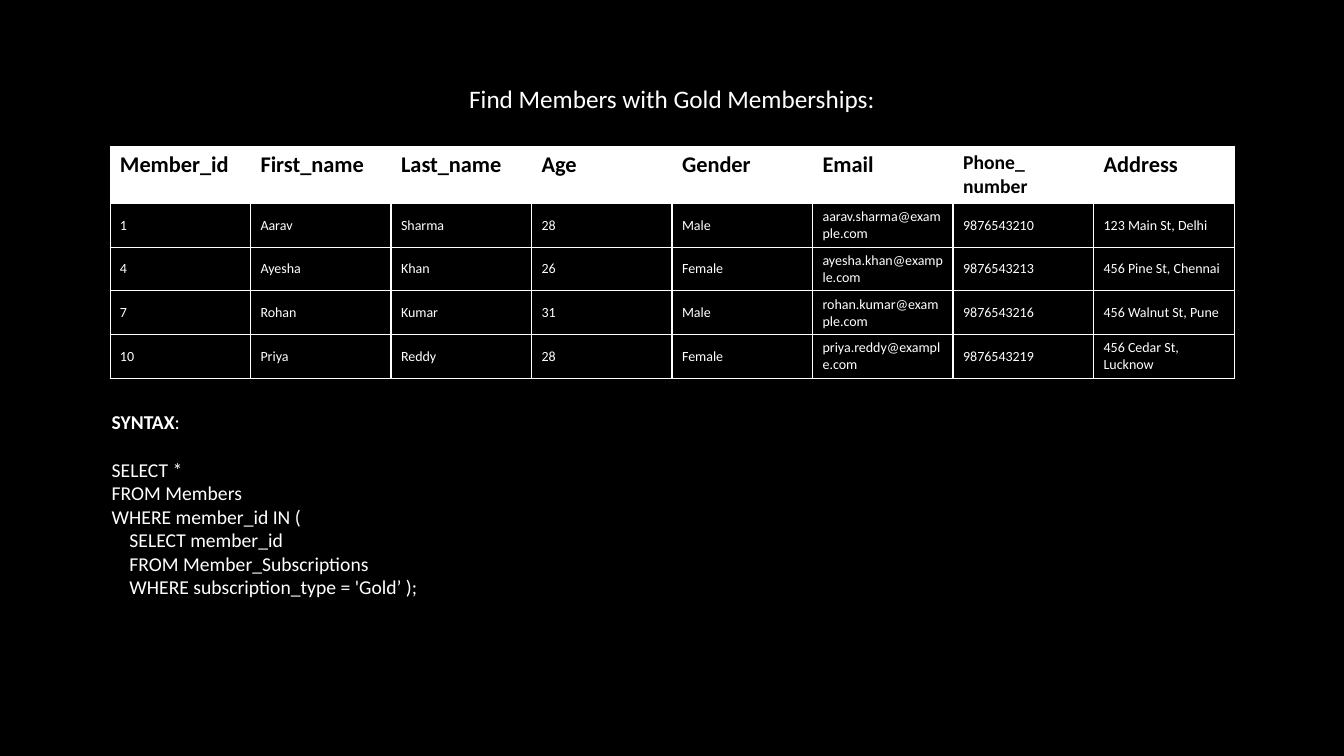
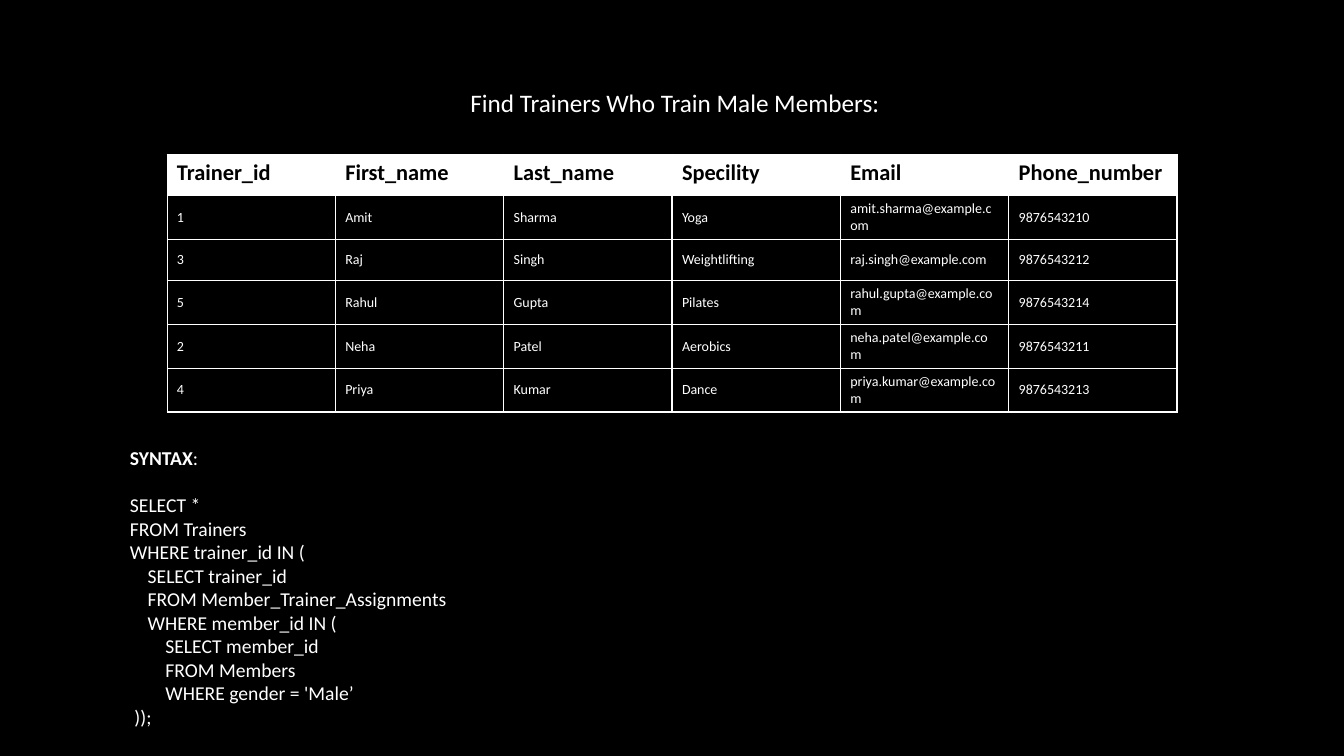
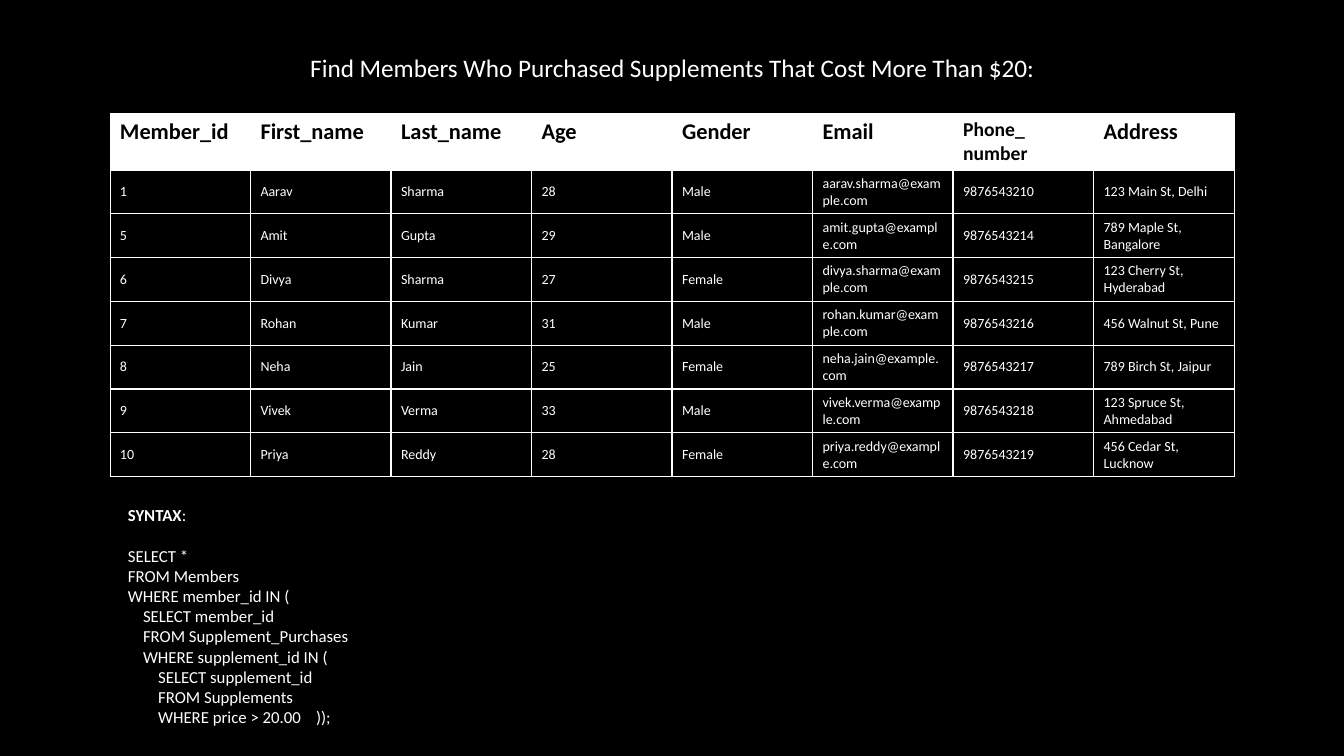
import pptx
import pptx.util
import pptx.dml.color
import pptx.enum.text
import pptx.oxml.ns
from lxml import etree

Inches, Pt = pptx.util.Inches, pptx.util.Pt
RGBColor = pptx.dml.color.RGBColor
ALIGN, ANCHOR = pptx.enum.text.PP_ALIGN, pptx.enum.text.MSO_ANCHOR
qn = pptx.oxml.ns.qn

BLACK = RGBColor(0, 0, 0)
WHITE = RGBColor(255, 255, 255)
FONT = "Calibri"
LINE_SPACING = 1.22
SLIDE_W, SLIDE_H = 13.33, 7.5
ROW_H = 0.41
THIN, REGULAR = 0.5, 1

MEMBER_HEAD = ["Member_id", "First_name", "Last_name", "Age", "Gender", "Email",
               "Phone_ number", "Address"]
MEMBERS = {
    1: ["Aarav", "Sharma", "28", "Male", "aarav.sharma@example.com", "9876543210", "123 Main St, Delhi"],
    4: ["Ayesha", "Khan", "26", "Female", "ayesha.khan@example.com", "9876543213", "456 Pine St, Chennai"],
    5: ["Amit", "Gupta", "29", "Male", "amit.gupta@example.com", "9876543214", "789 Maple St, Bangalore"],
    6: ["Divya", "Sharma", "27", "Female", "divya.sharma@example.com", "9876543215", "123 Cherry St, Hyderabad"],
    7: ["Rohan", "Kumar", "31", "Male", "rohan.kumar@example.com", "9876543216", "456 Walnut St, Pune"],
    8: ["Neha", "Jain", "25", "Female", "neha.jain@example.com", "9876543217", "789 Birch St, Jaipur"],
    9: ["Vivek", "Verma", "33", "Male", "vivek.verma@example.com", "9876543218", "123 Spruce St, Ahmedabad"],
    10: ["Priya", "Reddy", "28", "Female", "priya.reddy@example.com", "9876543219", "456 Cedar St, Lucknow"],
}
TRAINER_HEAD = ["Trainer_id", "First_name", "Last_name", "Specility", "Email", "Phone_number"]
TRAINERS = {
    1: ["Amit", "Sharma", "Yoga", "amit.sharma@example.com", "9876543210"],
    3: ["Raj", "Singh", "Weightlifting", "raj.singh@example.com", "9876543212"],
    5: ["Rahul", "Gupta", "Pilates", "rahul.gupta@example.com", "9876543214"],
    2: ["Neha", "Patel", "Aerobics", "neha.patel@example.com", "9876543211"],
    4: ["Priya", "Kumar", "Dance", "priya.kumar@example.com", "9876543213"],
}

SLIDES = [
    dict(
        title="Find Members with Gold Memberships:",
        title_box=(3.33, 0.78, 6.67),
        head=MEMBER_HEAD, people=MEMBERS, ids=[1, 4, 7, 10],
        table_top=1.45, table_w=11.15, right_edge=THIN,
        query_box=(1.01, 4.02, 1.99), query_size=14,
        query="""SELECT *
FROM Members
WHERE member_id IN (
    SELECT member_id
    FROM Member_Subscriptions
    WHERE subscription_type = 'Gold’ );""",
    ),
    dict(
        title="Find Trainers Who Train Male Members:",
        title_box=(3.36, 0.82, 6.67),
        head=TRAINER_HEAD, people=TRAINERS, ids=[1, 3, 5, 2, 4],
        table_top=1.53, table_w=10.02, right_edge=REGULAR,
        query_box=(1.19, 4.37, 2.93), query_size=14,
        query="""SELECT *
FROM Trainers
WHERE trainer_id IN (
    SELECT trainer_id
    FROM Member_Trainer_Assignments
    WHERE member_id IN (
        SELECT member_id
        FROM Members
        WHERE gender = 'Male’
 ));""",
    ),
    dict(
        title="Find Members Who Purchased Supplements That Cost More Than $20:",
        title_box=(2.73, 0.47, 7.88),
        head=MEMBER_HEAD, people=MEMBERS, ids=[1, 5, 6, 7, 8, 9, 10],
        table_top=1.12, table_w=11.15, right_edge=THIN,
        query_box=(1.17, 4.96, 2.32), query_size=12,
        query="""SELECT *
FROM Members
WHERE member_id IN (
    SELECT member_id
    FROM Supplement_Purchases
    WHERE supplement_id IN (
        SELECT supplement_id
        FROM Supplements
        WHERE price > 20.00    ));""",
    ),
]


def style_runs(p, size, color=WHITE, bold=False):
    for r in p.runs:
        r.font.name, r.font.size, r.font.bold = FONT, Pt(size), bold
        r.font.color.rgb = color


def add_text_frame(slide, left, top, width, height):
    tf = slide.shapes.add_textbox(*map(Inches, (left, top, width, height))).text_frame
    tf.word_wrap = True
    return tf


def add_title(slide, text, box):
    left, top, width = box
    p = add_text_frame(slide, left, top, width, 0.4).paragraphs[0]
    p.text = text
    p.alignment = ALIGN.CENTER
    style_runs(p, 18)


def set_borders(cell, widths):
    """Draw white borders; widths are points for left, right, top and bottom."""
    tc_pr = cell._tc.get_or_add_tcPr()
    for side, width in zip("LRTB", widths):
        ln = etree.SubElement(tc_pr, qn("a:ln" + side), w=str(Pt(width)))
        fill = etree.SubElement(ln, qn("a:solidFill"))
        etree.SubElement(fill, qn("a:srgbClr"), val=str(WHITE))


def add_people_table(slide, rows, top, width, right_edge):
    n_rows, n_cols = len(rows), len(rows[0])
    table = slide.shapes.add_table(
        n_rows, n_cols, Inches((SLIDE_W - width) / 2), Inches(top),
        Inches(width), Inches(n_rows * ROW_H)).table
    table.first_row = table.horz_banding = False
    for i, row in enumerate(rows):
        table.rows[i].height = Inches(ROW_H)
        is_head = i == 0
        for j, text in enumerate(row):
            cell = table.cell(i, j)
            set_borders(cell, (THIN if j == 0 else REGULAR,
                               right_edge if j == n_cols - 1 else REGULAR,
                               THIN if is_head else REGULAR, REGULAR))
            cell.fill.solid()
            cell.fill.fore_color.rgb = WHITE if is_head else BLACK
            cell.vertical_anchor = ANCHOR.TOP if is_head else ANCHOR.MIDDLE
            p = cell.text_frame.paragraphs[0]
            p.text = text
            if is_head:
                style_runs(p, 14 if " " in text else 16, BLACK, True)
            else:
                style_runs(p, 10)


def add_query(slide, query, box, size):
    left, top, height = box
    tf = add_text_frame(slide, left, top, SLIDE_W / 2, height)
    p = tf.paragraphs[0]
    for text in ("SYNTAX", ":"):
        p.add_run().text = text
    style_runs(p, size)
    p.runs[0].font.bold = True
    p.space_after = Pt(round(size * LINE_SPACING, 1))
    for line in query.split("\n"):
        p = tf.add_paragraph()
        p.text = line
        style_runs(p, size)


def main():
    prs = pptx.Presentation()
    prs.slide_width, prs.slide_height = Inches(SLIDE_W), Inches(SLIDE_H)
    background = prs.slide_master.background.fill
    background.solid()
    background.fore_color.rgb = BLACK
    for s in SLIDES:
        slide = prs.slides.add_slide(prs.slide_layouts[6])
        add_title(slide, s["title"], s["title_box"])
        rows = [s["head"]] + [[str(i)] + s["people"][i] for i in s["ids"]]
        add_people_table(slide, rows, s["table_top"], s["table_w"], s["right_edge"])
        add_query(slide, s["query"], s["query_box"], s["query_size"])
    prs.save("out.pptx")


if __name__ == "__main__":
    main()
